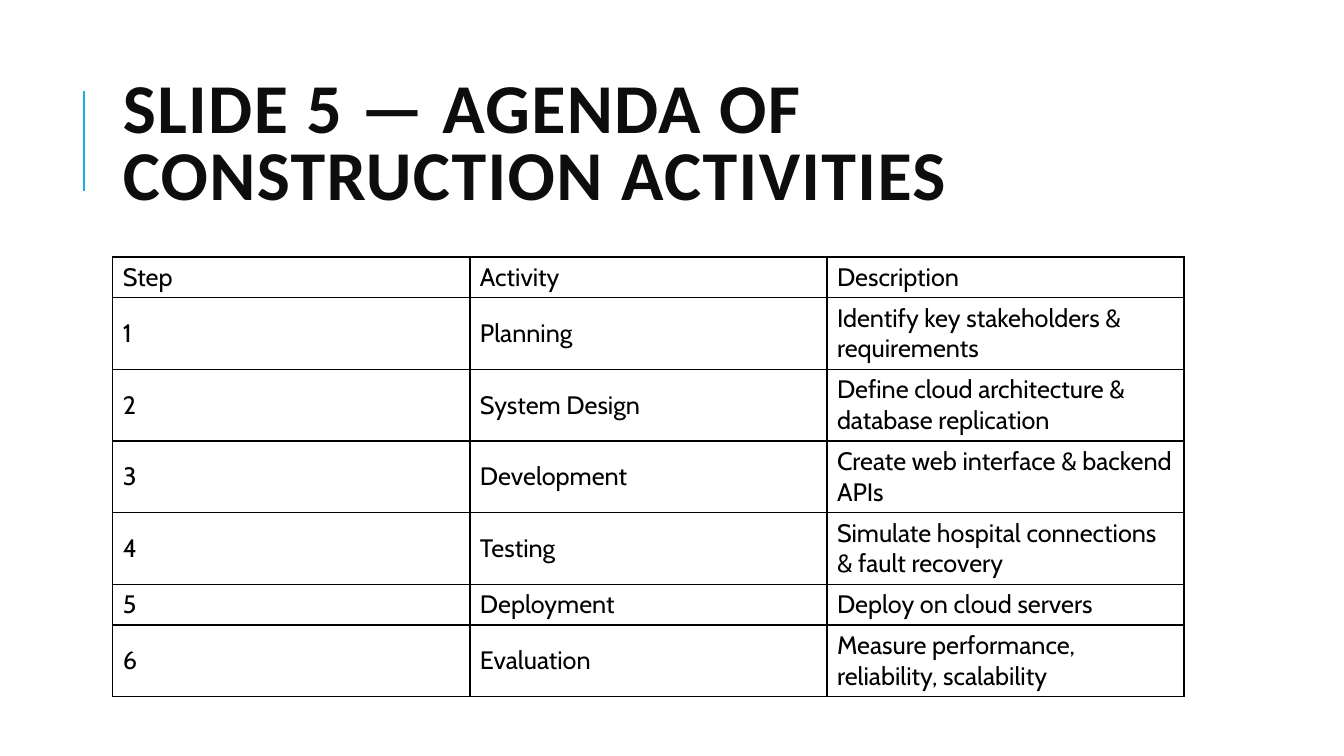
from lxml import etree
from pptx import Presentation
from pptx import util as u
from pptx.dml.color import RGBColor
from pptx.enum import shapes, text
from pptx.oxml import ns

SLIDE_W, SLIDE_H = u.Inches(13.33), u.Inches(7.5)
LEFT, WIDTH = 0.084, 0.797
ONE_LINE, TWO_LINES = 0.054, 0.0947
TITLE = {"size": u.Pt(50), "name": "Calibri", "bold": True}
BODY = {"size": u.Pt(18), "name": "Cabin", "bold": False}
AGENDA = [
    ("Step", "Activity", "Description", ONE_LINE),
    ("1", "Planning", "Identify key stakeholders & requirements", TWO_LINES),
    ("2", "System Design", "Define cloud architecture & database replication", TWO_LINES),
    ("3", "Development", "Create web interface & backend APIs", TWO_LINES),
    ("4", "Testing", "Simulate hospital connections & fault recovery", TWO_LINES),
    ("5", "Deployment", "Deploy on cloud servers", ONE_LINE),
    ("6", "Evaluation", "Measure performance, reliability, scalability", TWO_LINES),
]


def color(value):
    return RGBColor.from_string(value)


def across(share):
    return round(SLIDE_W * share)


def down(share):
    return round(SLIDE_H * share)


def write(paragraph, words, font_format, ink):
    run = paragraph.add_run()
    run.text = words
    for key, value in font_format.items():
        setattr(run.font, key, value)
    run.font.color.rgb = color(ink)
    return run


def add_accent(slide):
    accent = slide.shapes.add_connector(
        shapes.MSO_CONNECTOR.STRAIGHT,
        across(0.0625), down(0.253), across(0.0625), down(0.12))
    accent.line.color.rgb = color("1CADE4")
    accent.line.width = u.Pt(1.5)
    etree.SubElement(accent._element.spPr, ns.qn("a:effectLst"))


def add_title(slide, words):
    title = slide.shapes.add_textbox(across(LEFT), down(0.085), across(WIDTH), down(0.219))
    frame = title.text_frame
    frame.word_wrap = True
    frame.vertical_anchor = text.MSO_ANCHOR.MIDDLE
    heading = frame.paragraphs[0]
    heading.line_spacing = 0.8
    run = write(heading, words, TITLE, "0D0D0D")
    run.font._element.set("spc", "100")


def add_borders(cell):
    properties = cell._tc.get_or_add_tcPr()
    for position, side in enumerate(("lnL", "lnR", "lnT", "lnB")):
        border = etree.Element(ns.qn(f"a:{side}"), w=str(u.Pt(1)))
        fill = etree.SubElement(border, ns.qn("a:solidFill"))
        etree.SubElement(fill, ns.qn("a:srgbClr"), val="000000")
        properties.insert(position, border)


def add_agenda(slide, rows):
    height = sum(row[-1] for row in rows)
    agenda = slide.shapes.add_table(
        len(rows), 3, across(LEFT), down(0.34), across(WIDTH), down(height)).table
    agenda.first_row = agenda.horz_banding = False
    for row, (*entries, share) in zip(agenda.rows, rows):
        row.height = down(share)
        for cell, words in zip(row.cells, entries):
            cell.fill.background()
            cell.vertical_anchor = text.MSO_ANCHOR.MIDDLE
            write(cell.text_frame.paragraphs[0], words, BODY, "000000")
            add_borders(cell)


def main():
    deck = Presentation()
    deck.slide_width, deck.slide_height = SLIDE_W, SLIDE_H
    slide = deck.slides.add_slide(deck.slide_layouts[6])
    add_accent(slide)
    add_title(slide, "SLIDE 5 — AGENDA OF CONSTRUCTION ACTIVITIES")
    add_agenda(slide, AGENDA)
    deck.save("out.pptx")


if __name__ == "__main__":
    main()
